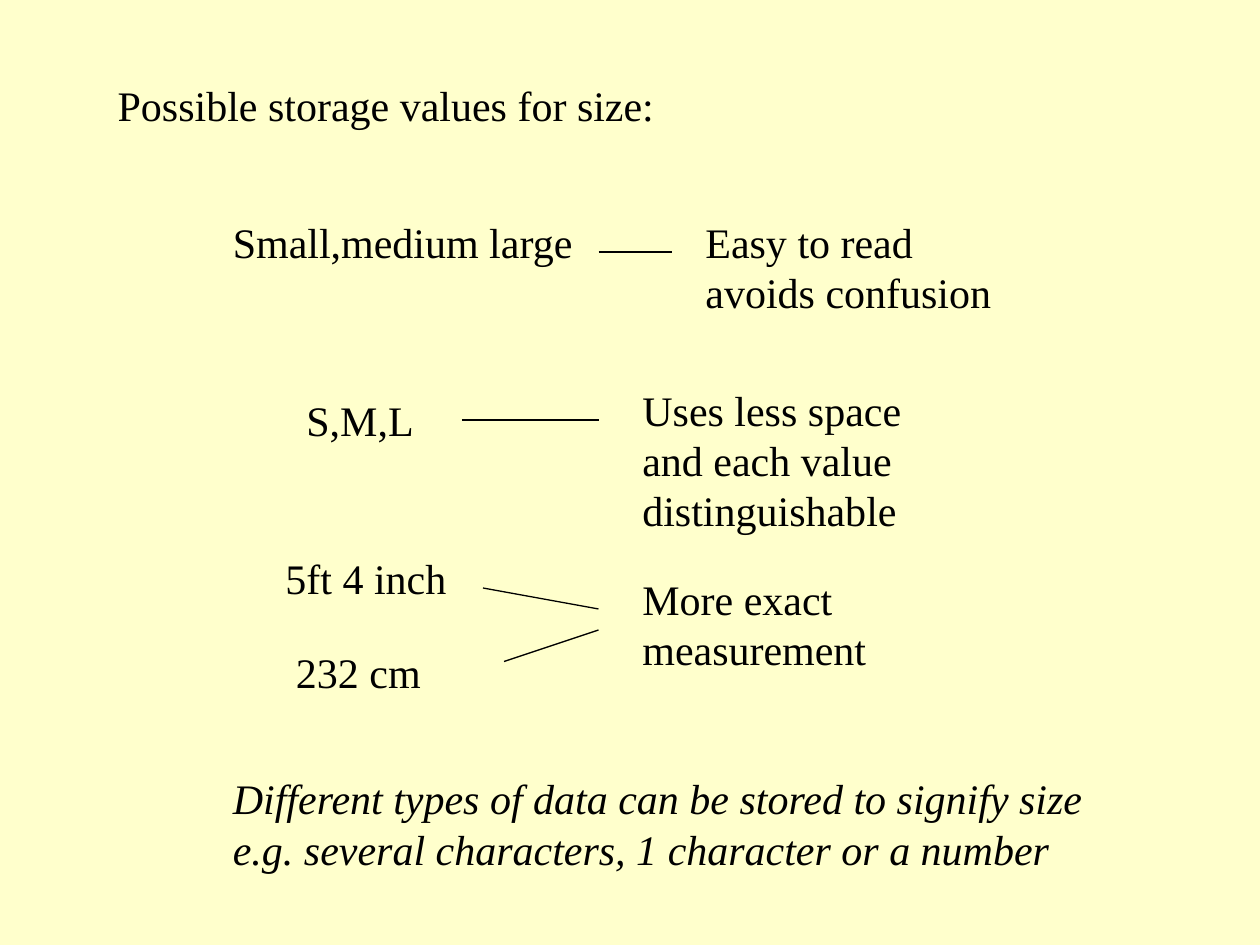
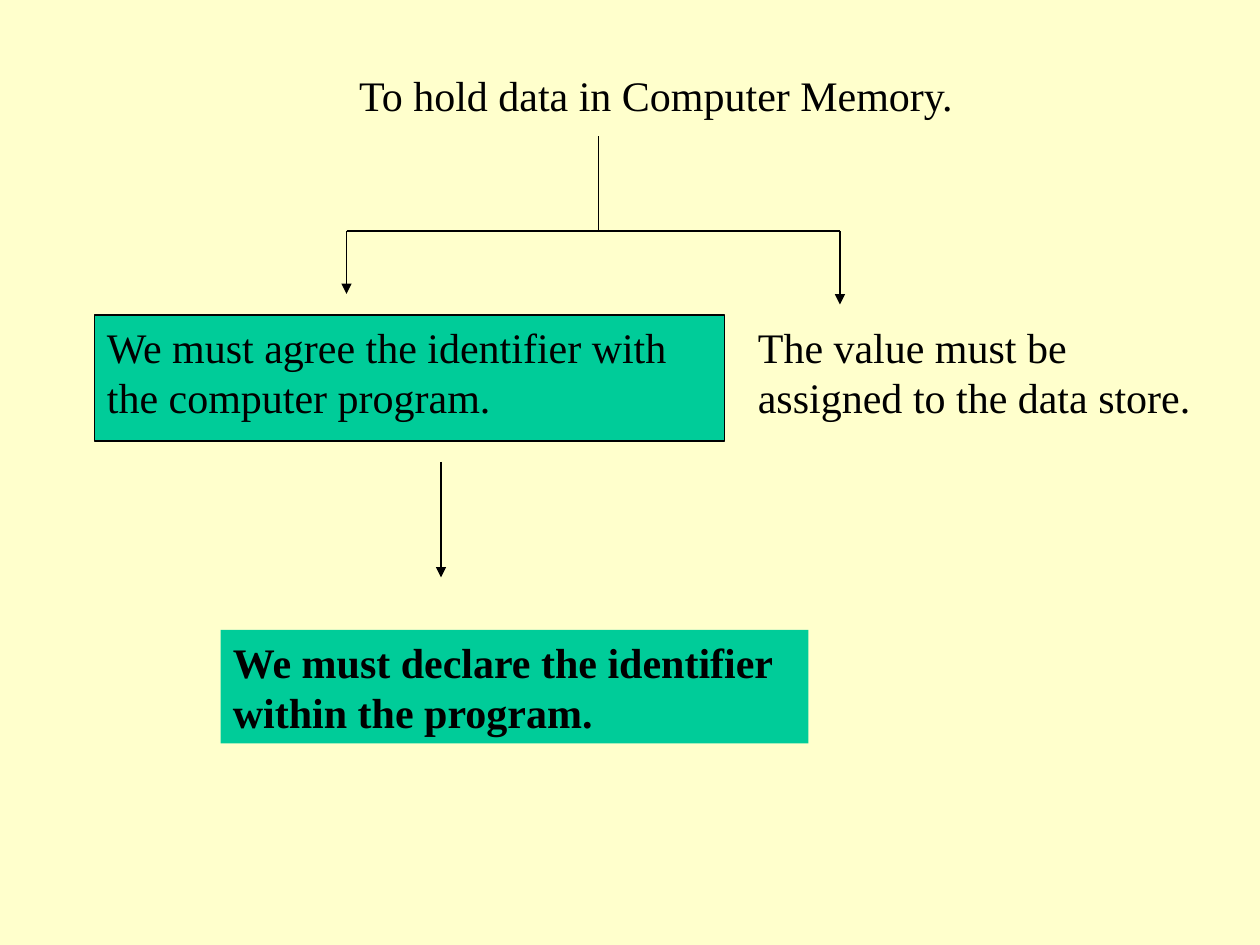
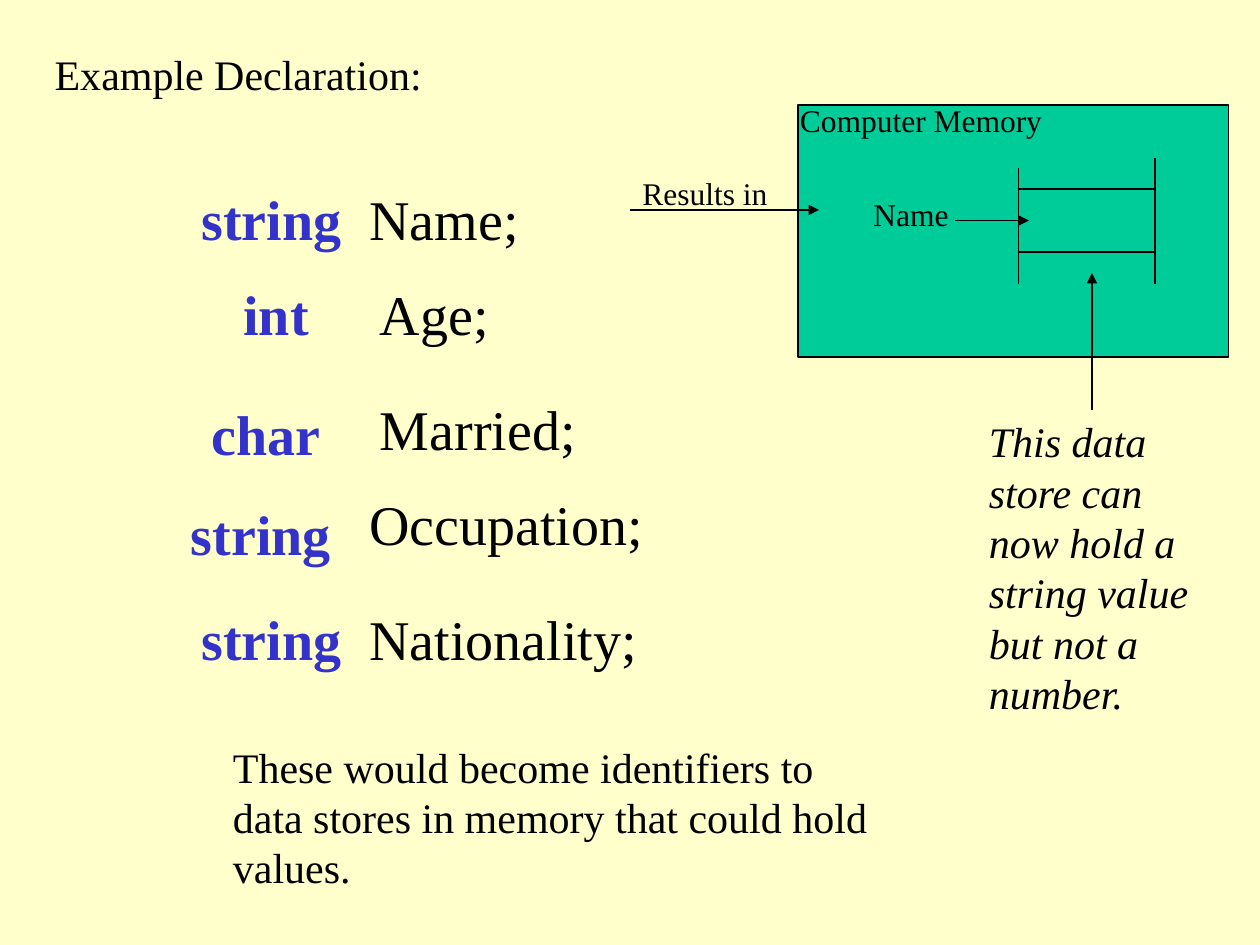
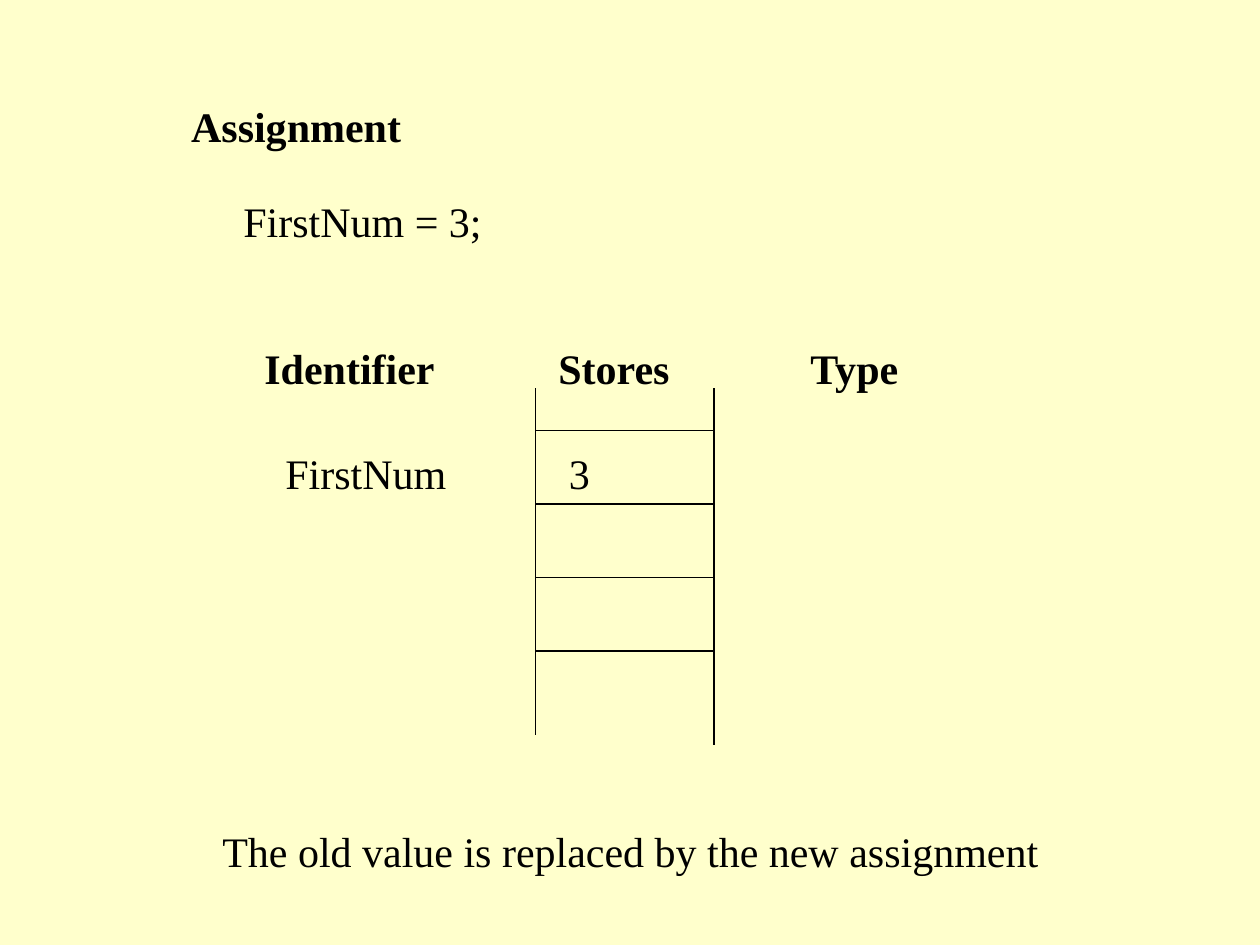
from lxml import etree
from pptx import Presentation
from pptx import util as u
from pptx.dml import color
from pptx.enum import shapes, text
from pptx.oxml import ns

FONT = "Times New Roman"
BLACK, CREAM, GREEN, BLUE = "000000", "FFFFCC", "00CC99", "3333CC"
BODY, CODE, LABEL = 24, 32, 18


def rgb(value):
    return color.RGBColor.from_string(value)


class Deck:
    def __init__(self):
        self.prs = Presentation()
        self.prs.slide_width, self.prs.slide_height = u.Pt(720), u.Pt(540)
        background = self.prs.slide_master.background.fill
        background.solid()
        background.fore_color.rgb = rgb(CREAM)
        self.slide = None

    def add_slide(self, title, left, top, width, bold=False):
        layout = self.prs.slide_layouts.get_by_name("Title Only")
        self.slide = self.prs.slides.add_slide(layout)
        heading = self.slide.shapes.title
        self.place(heading, left, top, width, 1, BODY)
        self.set_text(heading, title, bold=bold)

    def place(self, shape, left, top, width, lines, size):
        shape.left, shape.top = u.Pt(left), u.Pt(top)
        shape.width, shape.height = u.Pt(width), u.Pt(lines * size * 1.2 + 7.2)

    def set_text(self, shape, words, size=BODY, ink=BLACK, bold=False, italic=False):
        frame = shape.text_frame
        frame.text = words
        frame.word_wrap = True
        frame.auto_size = text.MSO_AUTO_SIZE.SHAPE_TO_FIT_TEXT
        frame.vertical_anchor = text.MSO_ANCHOR.TOP
        paragraph = frame.paragraphs[0]
        paragraph.alignment = text.PP_ALIGN.LEFT
        font = paragraph.font
        font.name, font.size = FONT, u.Pt(size)
        font.bold, font.italic = bold, italic
        font.color.rgb = rgb(ink)

    def label(self, words, left, top, width, lines=1, size=BODY, **style):
        box = self.slide.shapes.add_textbox(0, 0, 0, 0)
        self.place(box, left, top, width, lines, size)
        self.set_text(box, words, size, **style)
        return box

    def panel(self, left, top, width, height, outlined=True):
        panel = self.slide.shapes.add_shape(
            shapes.MSO_SHAPE.RECTANGLE, u.Pt(left), u.Pt(top), u.Pt(width), u.Pt(height))
        panel.shadow.inherit = False
        panel.fill.solid()
        panel.fill.fore_color.rgb = rgb(GREEN)
        if outlined:
            panel.line.color.rgb = rgb(BLACK)
            panel.line.width = u.Pt(0.75)
        else:
            panel.line.fill.background()
        return panel

    def line(self, x1, y1, x2, y2, arrow=False):
        line = self.slide.shapes.add_connector(
            shapes.MSO_CONNECTOR.STRAIGHT, u.Pt(x1), u.Pt(y1), u.Pt(x2), u.Pt(y2))
        line.line.color.rgb = rgb(BLACK)
        line.line.width = u.Pt(0.75)
        properties = line.element.spPr
        if arrow:
            stroke = properties.find(ns.qn("a:ln"))
            etree.SubElement(stroke, ns.qn("a:tailEnd"), type="triangle")
        etree.SubElement(properties, ns.qn("a:effectLst"))
        return line


def storage_values(deck):
    deck.add_slide("Possible storage values for size:", 60, 42, 408)
    deck.label("Small,medium large", 126, 120, 258)
    initials = deck.label("S,M,L", 168, 222, 96)
    deck.label("Uses less space and each value distinguishable", 360, 216, 186, 3)
    deck.label("Easy to read avoids confusion", 396, 120, 192, 2)
    deck.label("5ft 4 inch", 156, 312, 132)
    deck.label("232 cm", 162, 366, 132)
    deck.label("More exact measurement", 360, 324, 228, 2)
    deck.line(342, 144, 384, 144)
    deck.line(264, 240, 342, 240).begin_connect(initials, 3)
    deck.line(276, 336, 342, 348)
    deck.line(288, 378, 342, 360)
    deck.label("Different types of data can be stored to signify size "
               "e.g. several characters, 1 character or a number",
               126, 438, 504, 2, italic=True)


def holding_data(deck):
    deck.add_slide("To hold data in Computer Memory.", 198, 36, 384)
    deck.panel(54, 180, 360, 72)
    deck.label("We must agree the identifier with the computer program.", 54, 180, 348, 2)
    deck.label("The value must be assigned to the data store.", 426, 180, 264, 2)

    branch_y, left_branch, right_branch = 132, 198, 480
    deck.line(342, 78, 342, branch_y)
    deck.line(left_branch, branch_y, right_branch, branch_y)
    deck.line(right_branch, branch_y, right_branch, 174, arrow=True)
    deck.line(left_branch, branch_y, left_branch, 168, arrow=True)
    deck.line(252, 264, 252, 330, arrow=True)

    declaration = deck.panel(126, 360, 336, 64.8, outlined=False)
    deck.set_text(declaration, "We must declare the identifier within the program.", bold=True)


def example_declaration(deck):
    deck.add_slide("Example Declaration:", 24, 24, 228)
    deck.panel(456, 60, 246, 144)

    declarations = [
        ("string", 108, 102, 102, "Name;", 204, 102, 156),
        ("int", 132, 156, 60, "Age;", 210, 156, 78),
        ("char", 114, 225, 84, "Married;", 210, 222, 144),
        ("string", 102, 282, 102, "Occupation;", 204, 276, 234),
        ("string", 108, 342, 102, "Nationality;", 204, 342, 222),
    ]
    for kind, kind_x, kind_y, kind_w, name, name_x, name_y, name_w in declarations:
        deck.label(kind, kind_x, kind_y, kind_w, size=CODE, ink=BLUE, bold=True)
        deck.label(name, name_x, name_y, name_w, size=CODE)
    deck.label("These would become identifiers to data stores in memory "
               "that could hold values.", 126, 420, 378, 3)

    store_left, store_right = 582, 660
    deck.line(store_left, 96, store_left, 162)
    deck.line(store_right, 90, store_right, 162)
    for y in (108, 144):
        deck.line(store_left, y, store_right, y)

    deck.label("Name", 492, 108, 72, size=LABEL)
    deck.line(546, 126, 588, 126, arrow=True)
    deck.label("Computer Memory", 450, 54, 198, size=LABEL)
    deck.line(360, 120, 468, 120, arrow=True)
    deck.label("Results in", 360, 96, 90, size=LABEL)
    deck.label("This data store can now hold a string value but not a number.",
               558, 234, 144, 6, italic=True)
    deck.line(624, 234, 624, 156, arrow=True)


def assignment(deck):
    deck.add_slide("Assignment", 102, 54, 180, bold=True)
    deck.label("FirstNum = 3;", 132, 108, 186)

    store_left, store_right = 306, 408
    deck.line(store_left, 222, store_left, 420)
    deck.line(store_right, 222, store_right, 426)
    for row in range(4):
        y = 246 + 42 * row
        deck.line(store_left, y, store_right, y)

    for header, left, width in (("Identifier", 144, 120), ("Stores", 312, 90), ("Type", 456, 108)):
        deck.label(header, left, 192, width, bold=True)
    deck.label("FirstNum", 156, 252, 114)
    deck.label("3", 318, 252, 72)
    deck.label("The old value is replaced by the new assignment", 120, 468, 534)


def main():
    deck = Deck()
    for build in (storage_values, holding_data, example_declaration, assignment):
        build(deck)
    deck.prs.save("out.pptx")


if __name__ == "__main__":
    main()
